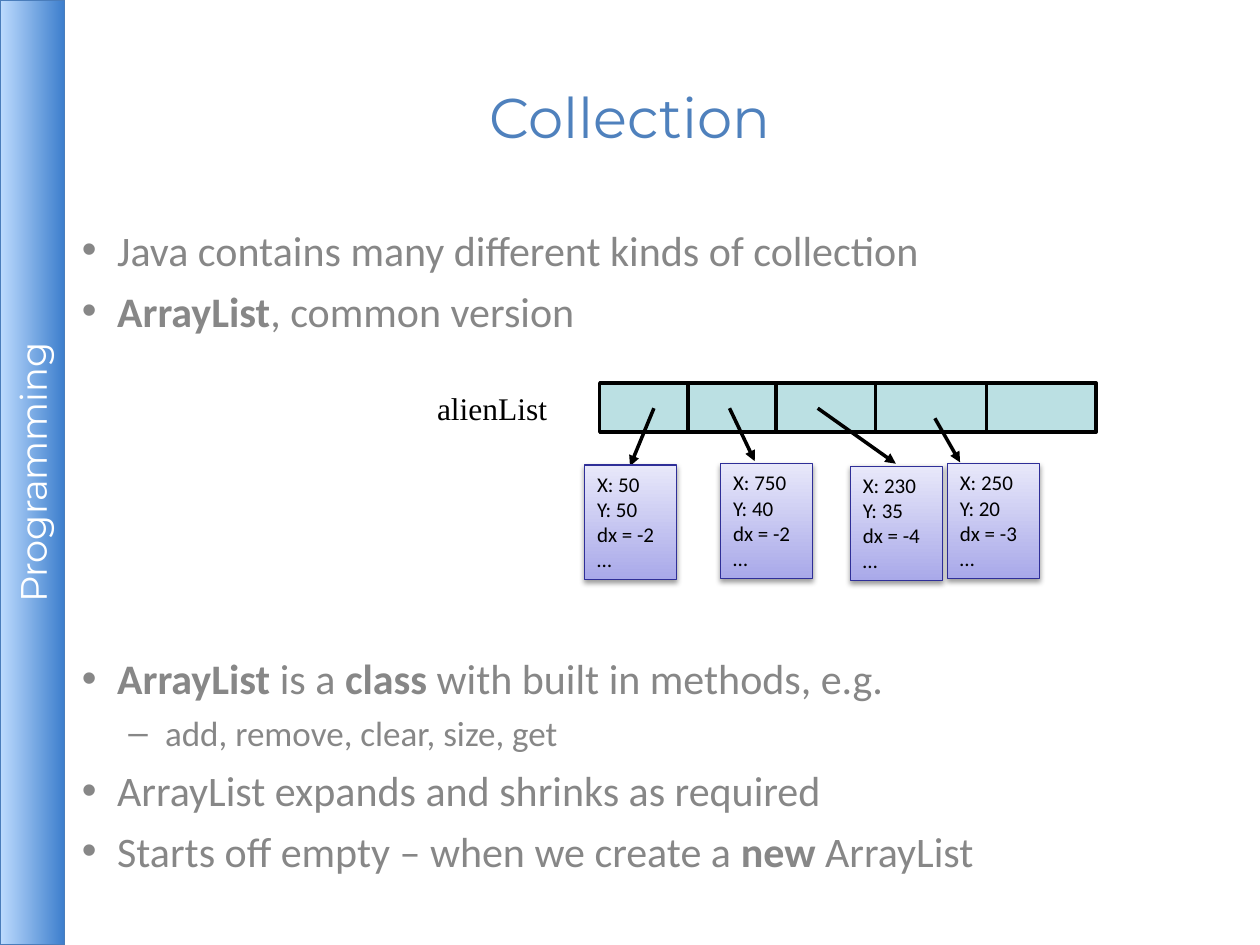
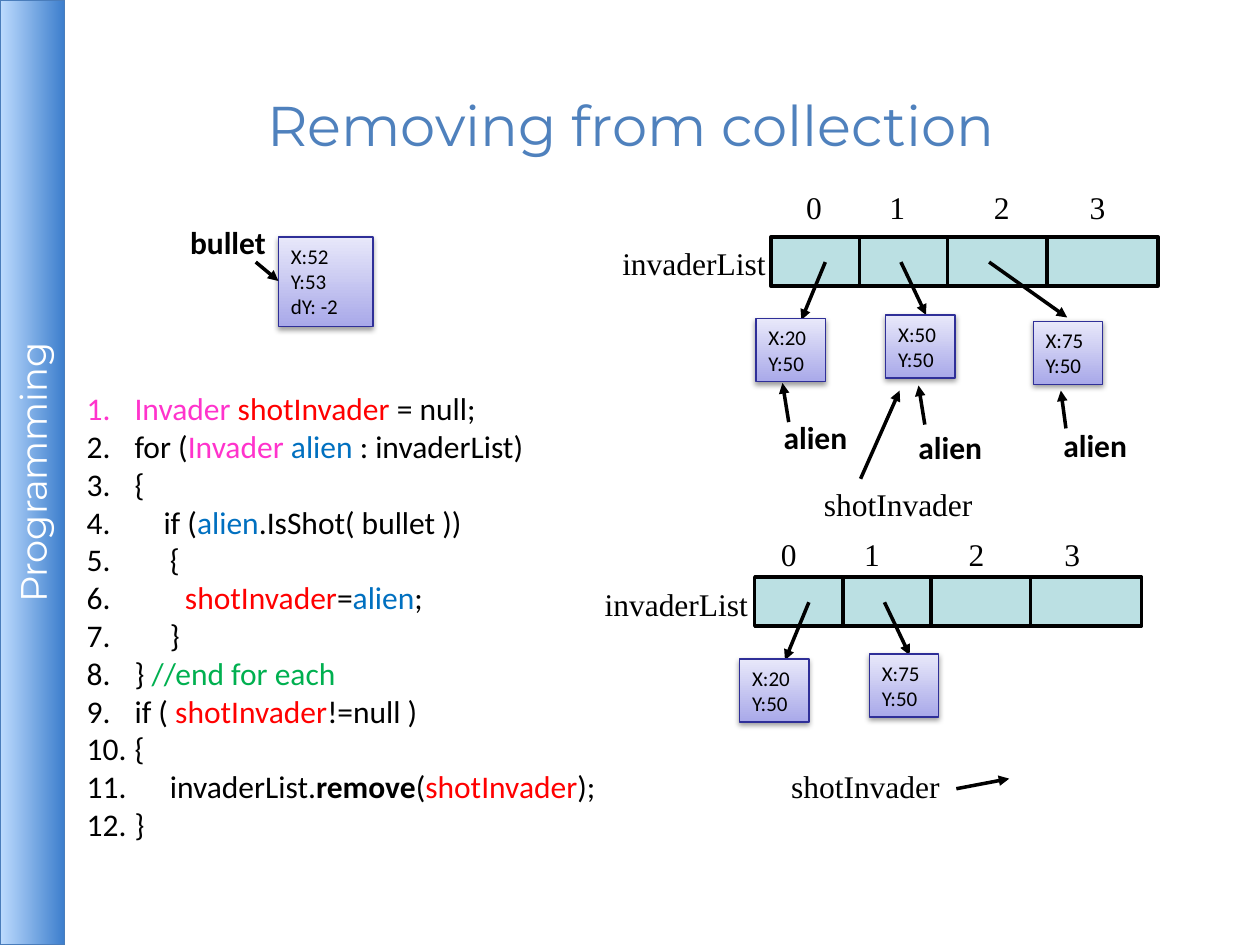
from lxml.etree import SubElement
from pptx import Presentation
from pptx.dml.color import RGBColor
from pptx.enum.shapes import MSO_CONNECTOR as CONNECTOR, MSO_SHAPE as SHAPE
from pptx.enum.text import MSO_ANCHOR as ANCHOR, PP_ALIGN as ALIGN
from pptx.oxml.ns import qn
from pptx.util import Inches, Pt

rgb = RGBColor.from_string

BLACK, WHITE, BLUE, GREY = "000000", "FFFFFF", "4F81BD", "878787"
PINK, RED, SKY, GREEN = "FF33CC", "FF0000", "0070C0", "00B050"
CELL_FILL, RECORD_LINE = "BBE0E3", "2F2F98"
RECORD_STOPS = ("A9A9E9", "E8E8FA")
BAND_STOPS, BAND_LINE = ("BDDBFE", "3E7FCD"), "4A7DBB"
HEADING, BODY, SERIF = "Montserrat", "Calibri", "Times New Roman"


def write(text_frame, lines, font, size, color, bold=False, align=ALIGN.LEFT, emphasis={}):
    """Write one paragraph per line; a line is a list of runs.
    Emphasis maps a run's text to its colour and weight."""
    for number, line in enumerate(lines):
        paragraph = text_frame.paragraphs[0] if number == 0 else text_frame.add_paragraph()
        paragraph.alignment = align
        for words in line:
            run = paragraph.add_run()
            run.text = words
            run_color, run_bold = emphasis.get(words, (color, bold))
            run.font.name, run.font.size = font, Pt(size)
            run.font.bold = run_bold
            run.font.color.rgb = rgb(run_color)


def add_line(slide, start, end, arrow=False):
    ends = [Inches(value) for value in (*start, *end)]
    line = slide.shapes.add_connector(CONNECTOR.STRAIGHT, *ends)
    line.line.color.rgb = rgb(BLACK)
    line.line.width = Pt(2)
    properties = line._element.spPr
    if arrow:
        SubElement(properties.find(qn("a:ln")), qn("a:tailEnd"), type="triangle")
    SubElement(properties, qn("a:effectLst"))


# Array geometry, measured from the array's top left corner
CELL_EDGES = [0.7, 1.4, 2.19, 3.07, 3.94]
ARRAY_HEIGHT = 0.39
POINTERS = [((0.43, 0.2), (0.24, 0.66)), ((1.03, 0.2), (1.23, 0.62)),
            ((1.73, 0.2), (2.35, 0.64)), ((2.66, 0.28), (2.86, 0.63))]
INDEX_STEPS = [0, 0.66, 1.49, 2.25]

# Title and its place; arrays (left, top, cells, pointers);
# records (left, top, width, height, lines); labels (left, top, width, text, font, bold)
collection = {
    "title": ("Collection", 0.5, 0.3),
    "arrays": [(4.76, 3.04, 5, 4)],
    "records": [
        (7.52, 3.68, 0.73, 0.91, ["X: 250", "Y: 20", "dx = -3", "…"]),
        (6.75, 3.7, 0.73, 0.91, ["X: 230", "Y: 35", "dx = -4", "…"]),
        (5.72, 3.68, 0.73, 0.91, ["X: 750", "Y: 40", "dx = -2", "…"]),
        (4.64, 3.69, 0.73, 0.91, ["X: 50", "Y: 50", "dx = -2", "…"]),
    ],
    "labels": [(3.37, 3.04, 1.09, "alienList", SERIF, False)],
    "arrows": [],
}
removing = {
    "title": ("Removing from collection", 0.51, 0.36),
    "arrays": [(6.12, 1.88, 4, 3), (5.99, 4.58, 4, 2)],
    "records": [
        (6, 2.53, 0.55, 0.5, ["X:20", "Y:50"]),
        (7.03, 2.5, 0.55, 0.5, ["X:50", "Y:50"]),
        (8.2, 2.55, 0.55, 0.5, ["X:75", "Y:50"]),
        (5.87, 5.23, 0.55, 0.5, ["X:20", "Y:50"]),
        (6.9, 5.19, 0.55, 0.5, ["X:75", "Y:50"]),
        (2.21, 1.88, 0.75, 0.71, ["X:52", "Y:53", "dY: -2"]),
    ],
    "labels": [
        (4.84, 1.89, 1.35, "invaderList", SERIF, False),
        (4.7, 4.59, 1.35, "invaderList", SERIF, False),
        (6.44, 3.8, 1.39, "shotInvader", SERIF, False),
        (6.18, 6.04, 1.39, "shotInvader", SERIF, False),
        (6.12, 3.27, 0.71, "alien", BODY, True),
        (7.19, 3.35, 0.71, "alien", BODY, True),
        (8.34, 3.33, 0.71, "alien", BODY, True),
        (1.41, 1.72, 0.81, "bullet", BODY, True),
    ],
    "arrows": [
        ((6.26, 3.35), (6.21, 3.04)), ((7.34, 3.37), (7.29, 3.06)),
        ((8.46, 3.4), (8.42, 3.1)), ((6.83, 3.8), (7.14, 3.1)),
        ((7.59, 6.26), (8.01, 6.18)), ((2.03, 2.08), (2.21, 2.23)),
    ],
}
# Index numbers above both arrays
for index_left, index_top in [(6.3, 1.44), (6.1, 4.2)]:
    for index, step in enumerate(INDEX_STEPS):
        removing["labels"].append((index_left + step, index_top, 0.33, str(index), SERIF, False))

presentation = Presentation()
presentation.slide_width, presentation.slide_height = Inches(10), Inches(7.5)

for content in (collection, removing):
    slide = presentation.slides.add_slide(presentation.slide_layouts[6])

    # Side band
    band = slide.shapes.add_shape(SHAPE.RECTANGLE, 0, 0, Inches(0.51), Inches(7.5))
    band.shadow.inherit = False
    band.fill.gradient()
    band.fill.gradient_angle = 0
    for stop, color in zip(band.fill.gradient_stops, BAND_STOPS):
        stop.color.rgb = rgb(color)
    band.line.color.rgb = rgb(BAND_LINE)
    band.line.width = Pt(0.75)
    band.text_frame._txBody.bodyPr.set("vert", "vert270")
    write(band.text_frame, [["Programming"]], HEADING, 21, WHITE, align=ALIGN.CENTER)

    # Title
    title, left, top = content["title"]
    box = slide.shapes.add_textbox(Inches(left), Inches(top), Inches(9), Inches(1.25))
    box.text_frame.word_wrap = True
    box.text_frame.vertical_anchor = ANCHOR.MIDDLE
    write(box.text_frame, [[title]], HEADING, 32, BLUE, align=ALIGN.CENTER)

    # Arrays with their dividers and pointers
    for left, top, cells, pointers in content["arrays"]:
        array = slide.shapes.add_shape(
            SHAPE.RECTANGLE, Inches(left), Inches(top),
            Inches(CELL_EDGES[cells - 1]), Inches(ARRAY_HEIGHT))
        array.shadow.inherit = False
        array.fill.solid()
        array.fill.fore_color.rgb = rgb(CELL_FILL)
        array.line.color.rgb = rgb(BLACK)
        array.line.width = Pt(2)
        for edge in CELL_EDGES[:cells - 1]:
            add_line(slide, (left + edge, top), (left + edge, top + ARRAY_HEIGHT))
        for start, end in POINTERS[:pointers]:
            add_line(slide, (left + start[0], top + start[1]),
                     (left + end[0], top + end[1]), arrow=True)

    # Object records
    for left, top, width, height, lines in content["records"]:
        record = slide.shapes.add_shape(
            SHAPE.RECTANGLE, Inches(left), Inches(top), Inches(width), Inches(height))
        record.fill.gradient()
        record.fill.gradient_angle = 90
        for stop, color in zip(record.fill.gradient_stops, RECORD_STOPS):
            stop.color.rgb = rgb(color)
        record.line.color.rgb = rgb(RECORD_LINE)
        record.line.width = Pt(0.75)
        record.shadow.inherit = False
        effects = record._element.spPr.find(qn("a:effectLst"))
        shadow = SubElement(effects, qn("a:outerShdw"), blurRad=str(Pt(3.1)),
                            dist=str(Pt(1.6)), dir="5400000", rotWithShape="0")
        shadow_color = SubElement(shadow, qn("a:srgbClr"), val=BLACK)
        SubElement(shadow_color, qn("a:alpha"), val="38000")
        record.text_frame.vertical_anchor = ANCHOR.TOP
        record.text_frame.word_wrap = False
        write(record.text_frame, [[line] for line in lines], BODY, 12, BLACK)

    # Labels and free arrows
    for left, top, width, text, font, bold in content["labels"]:
        label = slide.shapes.add_textbox(Inches(left), Inches(top), Inches(width), Inches(0.4))
        label.text_frame.word_wrap = False
        write(label.text_frame, [[text]], font, 18, BLACK, bold)
    for start, end in content["arrows"]:
        add_line(slide, start, end, arrow=True)

# Bullets of the first slide: runs, size, space before, left margin, hanging, mark
bullets = [
    (["Java contains many different kinds of collection"], 24, 6, 0.28, 0.28, "•"),
    (["ArrayList", ", common version"], 24, 6, 0.28, 0.28, "•"),
    (["ArrayList", " is a ", "class", " with built in methods, e.g."], 24, 181, 0.28, 0.28, "•"),
    (["add, remove, clear, size, get"], 20, 5.2, 0.66, 0.29, "–"),
    (["ArrayList expands and shrinks as required"], 24, 6, 0.28, 0.28, "•"),
    (["Starts off empty – when we create a ", "new", " ArrayList"], 24, 6, 0.28, 0.28, "•"),
]
body = presentation.slides[0].shapes.add_textbox(
    Inches(0.61), Inches(1.74), Inches(8.89), Inches(5.24))
body_frame = body.text_frame
body_frame.word_wrap = True
body_frame.margin_left = body_frame.margin_top = Inches(0.04)
body_frame.margin_right = body_frame.margin_bottom = Inches(0.04)
strong = {word: (GREY, True) for word in ("ArrayList", "class", "new")}
write(body_frame, [bullet[0] for bullet in bullets], BODY, 24, GREY, emphasis=strong)
for paragraph, (_, size, space, margin, hanging, mark) in zip(body_frame.paragraphs, bullets):
    paragraph.space_before = Pt(space)
    for run in paragraph.runs:
        run.font.size = Pt(size)
    properties = paragraph._p.get_or_add_pPr()
    properties.set("marL", str(Inches(margin)))
    properties.set("indent", str(-Inches(hanging)))
    SubElement(properties, qn("a:buFont"), typeface="Arial")
    SubElement(properties, qn("a:buChar"), char=mark)

# Numbered code of the second slide: extra indent and runs
code = [
    (0, ["Invader ", "shotInvader", " = null;"]),
    (0, ["for (", "Invader ", "alien", " : invaderList)"]),
    (0, ["{"]),
    (0.23, ["if (", "alien", ".IsShot( bullet ))"]),
    (0.28, ["{"]),
    (0.4, ["shotInvader", "=", "alien", ";"]),
    (0.28, ["}"]),
    (0, ["} ", "//end for each"]),
    (0, ["if ( ", "shotInvader", "!=null )"]),
    (0, ["{"]),
    (0.28, ["invaderList.", "remove", "(", "shotInvader", ");"]),
    (0, ["}"]),
]
syntax = {"Invader ": (PINK, False), "shotInvader": (RED, False), "alien": (SKY, False),
          "//end for each": (GREEN, False), "remove": (BLACK, True)}
listing = presentation.slides[1].shapes.add_textbox(
    Inches(0.59), Inches(3.04), Inches(4.4), Inches(4.04))
listing.text_frame.word_wrap = True
write(listing.text_frame, [runs for _, runs in code], BODY, 18, BLACK, emphasis=syntax)
for paragraph, (indent, runs) in zip(listing.text_frame.paragraphs, code):
    margin = Inches(0.38 + indent)
    properties = paragraph._p.get_or_add_pPr()
    properties.set("marL", str(margin))
    properties.set("indent", str(-margin))
    number_color = SubElement(properties, qn("a:buClr"))
    SubElement(number_color, qn("a:srgbClr"), val=PINK if runs[0] == "Invader " else BLACK)
    SubElement(properties, qn("a:buFont"), typeface="+mj-lt")
    SubElement(properties, qn("a:buAutoNum"), type="arabicPeriod")

presentation.save("out.pptx")
